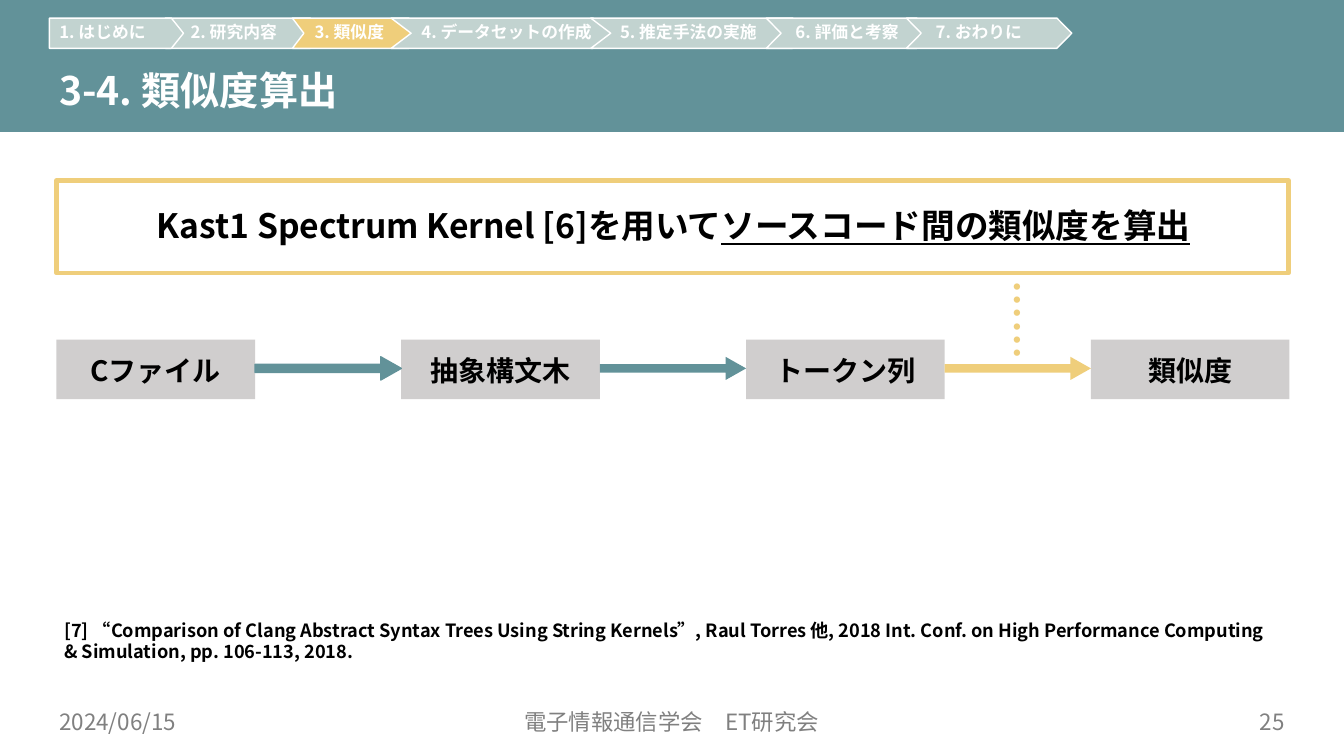
import pptx
import pptx.util
import pptx.dml.color
import pptx.enum.shapes
import pptx.enum.text
from lxml import etree

Inches = pptx.util.Inches
Pt = pptx.util.Pt
SHAPES = pptx.enum.shapes.MSO_SHAPE
ALIGN = pptx.enum.text.PP_ALIGN
ANCHOR = pptx.enum.text.MSO_ANCHOR
FONT = "Noto Sans CJK JP"
COLORS = {"teal": "629299", "pale": "C2D3D0", "yellow": "EFCE7B", "box": "D0CECE",
          "white": "FFFFFF", "black": "000000", "gray": "808080"}

presentation = pptx.Presentation()
presentation.slide_width = Inches(13.33)
presentation.slide_height = Inches(7.5)
slide = presentation.slides.add_slide(presentation.slide_layouts[6])


def paint(shape, fill=None, line=None, line_width=1):
    """Set fill and line; None leaves the part empty."""
    shape.shadow.inherit = False
    if fill:
        shape.fill.solid()
        shape.fill.fore_color.rgb = pptx.dml.color.RGBColor.from_string(COLORS[fill])
    else:
        shape.fill.background()
    if line:
        shape.line.color.rgb = pptx.dml.color.RGBColor.from_string(COLORS[line])
        shape.line.width = Pt(line_width)
    else:
        shape.line.fill.background()


def write(shape, runs, size, color, align=ALIGN.LEFT, anchor=ANCHOR.TOP,
          spacing=None, bold=True, wrap=True):
    """Fill the first paragraph with (text, underlined) runs."""
    frame = shape.text_frame
    frame.word_wrap = wrap
    frame.vertical_anchor = anchor
    paragraph = frame.paragraphs[0]
    paragraph.alignment = align
    if spacing:
        paragraph.line_spacing = spacing
    for text, underlined in runs:
        run = paragraph.add_run()
        run.text = text
        run.font.size = Pt(size)
        run.font.bold = bold
        run.font.name = FONT
        run.font.color.rgb = pptx.dml.color.RGBColor.from_string(COLORS[color])
        if underlined:
            run.font.underline = True
        east_asian = etree.SubElement(run.font._element, pptx.oxml.ns.qn("a:ea"))
        east_asian.set("typeface", FONT)


# Title band
band = slide.shapes.add_shape(SHAPES.RECTANGLE, 0, 0, Inches(13.33), Inches(1.31))
paint(band, "teal")
title = slide.shapes.add_textbox(Inches(0.49), Inches(0.53), Inches(9.93), Inches(0.79))
write(title, [("3-4. 類似度算出", False)], 28, "white", anchor=ANCHOR.MIDDLE, spacing=0.9)

# Footer
footers = [("2024/06/15", 0.49, 3, ALIGN.LEFT),
           ("電子情報通信学会　ET研究会", 4.16, 5, ALIGN.CENTER),
           ("25", 9.84, 3, ALIGN.RIGHT)]
for text, left, width, align in footers:
    footer = slide.shapes.add_textbox(Inches(left), Inches(6.96), Inches(width), Inches(0.4))
    write(footer, [(text, False)], 16, "gray", align, ANCHOR.MIDDLE, bold=False)

# Process boxes, evenly spaced, with an arrow in each gap
steps = ["Cファイル", "抽象構文木", "トークン列", "類似度"]
arrows = ["teal", "teal", "yellow"]
box_width, step_pitch = 1.97, 3.42
for index, step in enumerate(steps):
    left = 0.56 + index * step_pitch
    box = slide.shapes.add_shape(SHAPES.RECTANGLE, Inches(left), Inches(3.37),
                                 Inches(box_width), Inches(0.59))
    paint(box, "box")
    label = slide.shapes.add_textbox(Inches(left), Inches(3.44), Inches(box_width), Inches(0.49))
    write(label, [(step, False)], 20, "black", ALIGN.CENTER, spacing=Pt(25))
for index, color in enumerate(arrows):
    arrow = slide.shapes.add_shape(
        SHAPES.RIGHT_ARROW, Inches(0.56 + index * step_pitch + box_width), Inches(3.54),
        Inches(step_pitch - box_width), Inches(0.23))
    arrow.adjustments[0] = 0.358
    arrow.adjustments[1] = 0.885
    paint(arrow, color, "teal" if index == 0 else None)

# Dotted link from the headline to the last arrow
dots = slide.shapes.add_textbox(Inches(9.6), Inches(2.89), Inches(0.99), Inches(0.57))
dots.rotation = 90
write(dots, [("……", False)], 28, "yellow", ALIGN.CENTER, wrap=False)

# Headline
headline_box = slide.shapes.add_shape(SHAPES.RECTANGLE, Inches(0.56), Inches(1.79),
                                      Inches(12.22), Inches(0.92))
paint(headline_box, line="yellow", line_width=3)
headline = slide.shapes.add_textbox(Inches(0.56), Inches(1.97), Inches(12.24), Inches(4.67))
write(headline, [("Kast1 Spectrum Kernel [6]を用いて", False),
                 ("ソースコード間の類似度を算出", True)],
      24, "black", ALIGN.CENTER, spacing=Pt(30))

# Reference
reference = slide.shapes.add_textbox(Inches(0.54), Inches(6.09), Inches(12.24), Inches(0.54))
write(reference, [("[7] “Comparison of Clang Abstract Syntax Trees Using String Kernels”, "
                   "Raul Torres 他, 2018 Int. Conf. on High Performance Computing "
                   "& Simulation, pp. 106-113, 2018.", False)], 13, "black")

# Chapter chevrons: label, left, width, text inset; the second lies under the first
chapters = [("2. 研究内容", 1.64, 1.58, 0.25), ("1. はじめに", 0.49, 1.33, 0.1),
            ("3. 類似度", 2.9, 1.27, 0.22), ("4. データセットの作成", 3.88, 2.2, 0.3),
            ("5. 推定手法の実施", 5.86, 2.2, 0.29), ("6. 評価と考察", 7.6, 1.64, 0.29),
            ("7. おわりに", 8.99, 1.64, 0.29)]
top, middle, bottom = 0.18, 0.33, 0.48
for text, left, width, inset in chapters:
    tip = 0.09 * width
    notch = 0 if text.startswith("1.") else tip
    right = left + width
    points = [(right - tip, top), (right, middle), (right - tip, bottom),
              (left, bottom), (left + notch, middle)]
    builder = slide.shapes.build_freeform(Inches(left), Inches(top))
    builder.add_line_segments([(Inches(x), Inches(y)) for x, y in points], close=True)
    chevron = builder.convert_to_shape()
    paint(chevron, "yellow" if text.startswith("3.") else "pale", "white")
    frame = chevron.text_frame
    frame.margin_left = Inches(inset)
    frame.margin_right = 0
    frame.margin_top = frame.margin_bottom = Inches(0.03)
    write(chevron, [(text, False)], 12, "white", anchor=ANCHOR.MIDDLE, spacing=0.9)

presentation.save("out.pptx")
